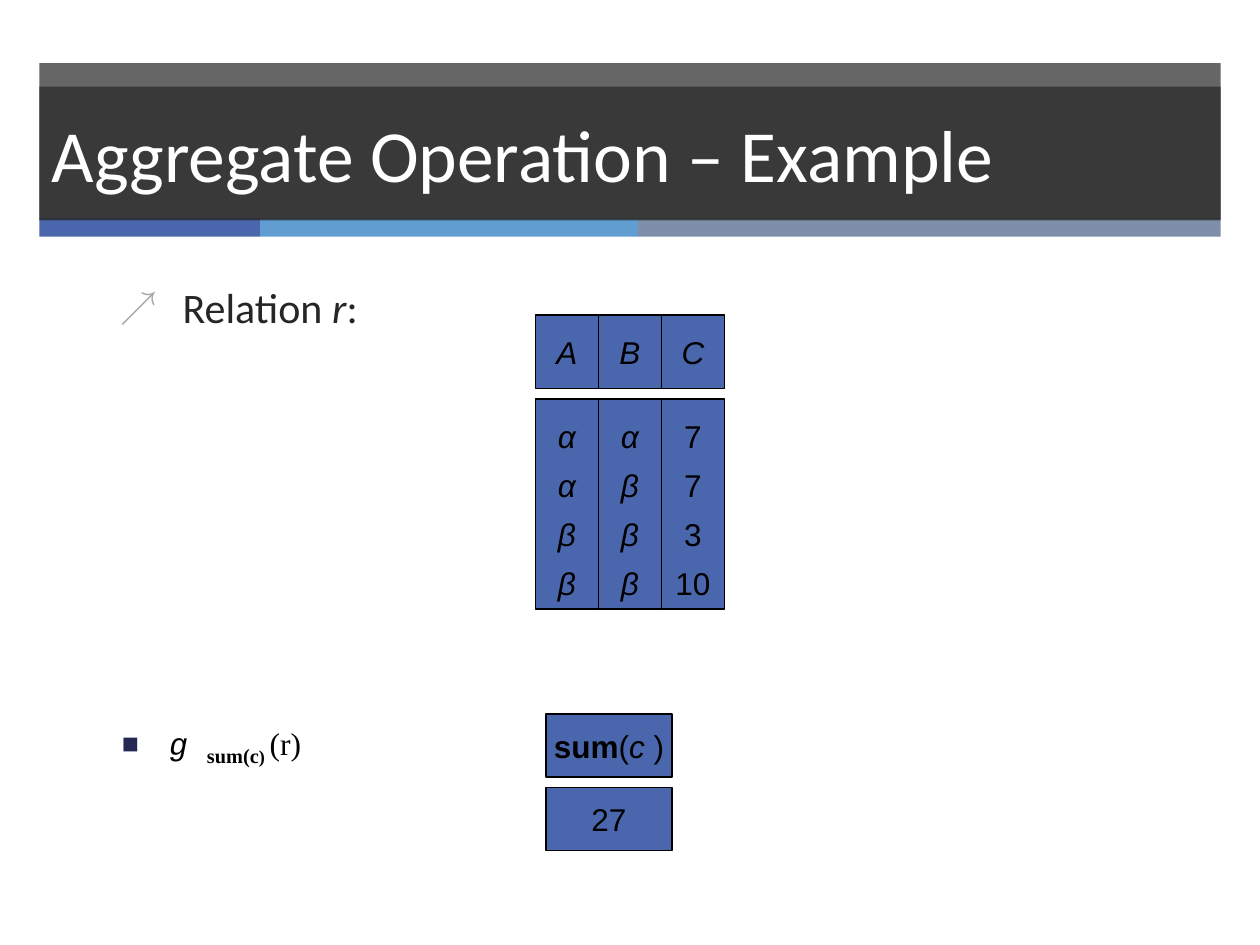
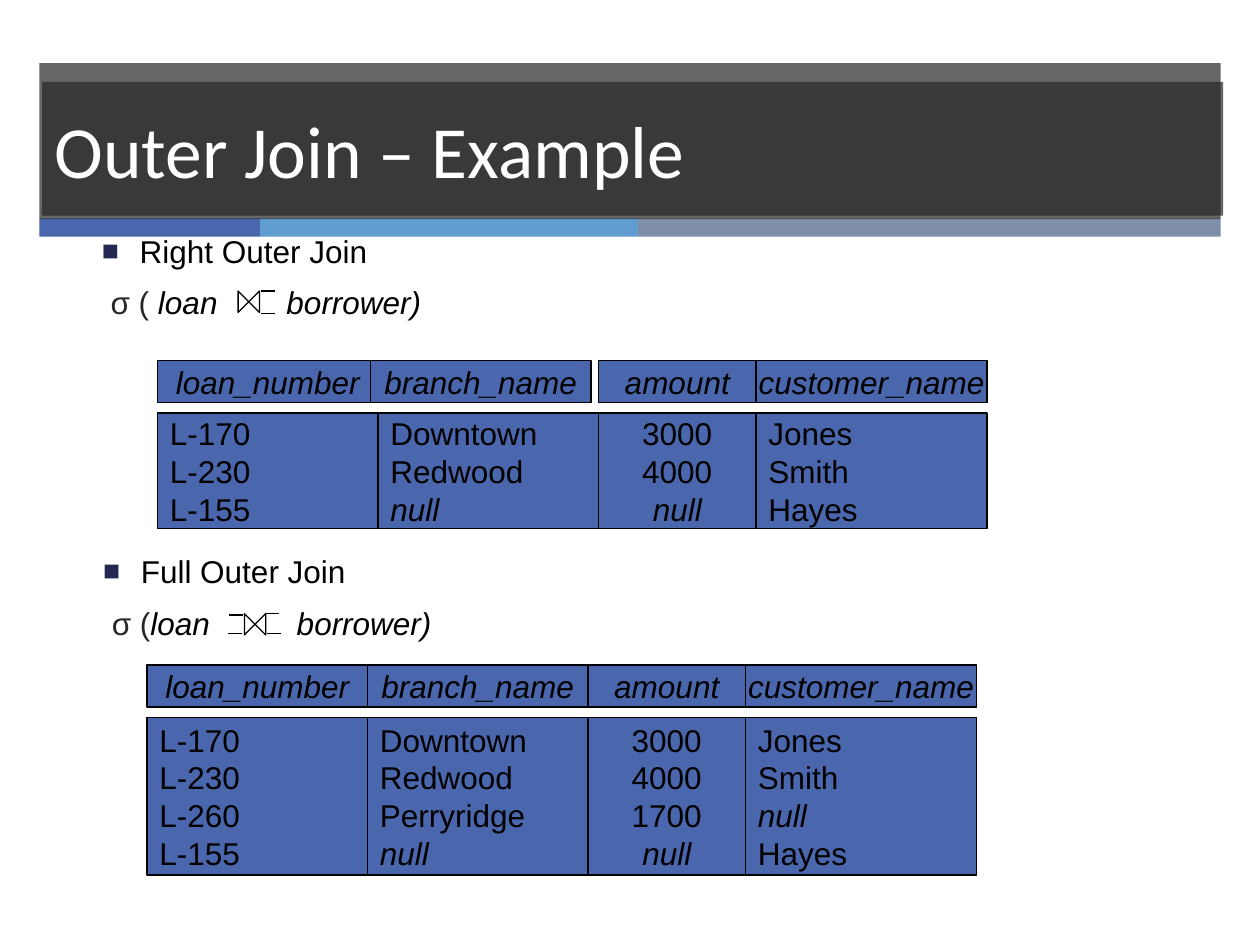
"""Build two slides on aggregate and outer join operations in relational algebra."""
from lxml.etree import SubElement
from pptx import Presentation
from pptx.dml.color import RGBColor
from pptx.enum.shapes import MSO_CONNECTOR, MSO_SHAPE
from pptx.enum.text import MSO_ANCHOR, MSO_AUTO_SIZE, PP_ALIGN
from pptx.oxml.ns import qn
from pptx.util import Pt

BLACK = RGBColor(0x00, 0x00, 0x00)
WHITE = RGBColor(0xFF, 0xFF, 0xFF)
DARK = RGBColor(0x26, 0x26, 0x26)
BLUE = RGBColor(0x4A, 0x66, 0xAC)
SKY = RGBColor(0x62, 0x9D, 0xD1)
SLATE = RGBColor(0x7F, 0x8F, 0xA9)
NAVY = RGBColor(0x24, 0x28, 0x52)
GRAY = RGBColor(0xA6, 0xA6, 0xA6)
LEFT, CENTER = PP_ALIGN.LEFT, PP_ALIGN.CENTER
ITALIC_WORDS = {"A", "B", "C", "c", "α", "β", "null", "loan_number",
                "branch_name", "amount", "customer_name"}


def write(paragraph, text, size=18, font="Arial", color=BLACK, bold=False, italic=False, baseline=0):
    run = paragraph.add_run()
    run.text = text
    run.font.size = Pt(size)
    run.font.name = font
    run.font.color.rgb = color
    run.font.bold = bold
    run.font.italic = italic
    if baseline:
        run._r.get_or_add_rPr().set("baseline", str(baseline * 1000))


def add_bullet(paragraph, character, color, indent, space_before):
    paragraph.space_before = Pt(space_before)
    properties = paragraph._p.get_or_add_pPr()
    properties.set("marL", str(Pt(indent)))
    properties.set("indent", str(-Pt(indent)))
    SubElement(SubElement(properties, qn("a:buClr")), qn("a:srgbClr"), val=str(color))
    SubElement(properties, qn("a:buSzPct"), val="90000")
    SubElement(properties, qn("a:buFont"), typeface="Arial")
    SubElement(properties, qn("a:buChar"), char=character)


presentation = Presentation()
presentation.slide_width, presentation.slide_height = Pt(720), Pt(540)
relation_slide = presentation.slides.add_slide(presentation.slide_layouts[1])
join_slide = presentation.slides.add_slide(presentation.slide_layouts[5])

translucent = []
master_tree = presentation.slide_master.shapes.element
for left, top, width, height, color in [
    (22.5, 36, 675, 89.25, DARK),
    (22.5, 124.8, 126, 10.5, BLUE),
    (148.5, 124.8, 216, 10.5, SKY),
    (364.5, 124.8, 333, 10.5, SLATE),
]:
    band = relation_slide.shapes.add_shape(
        MSO_SHAPE.RECTANGLE, Pt(left), Pt(top), Pt(width), Pt(height))
    band.shadow.inherit = False
    band.fill.solid()
    band.fill.fore_color.rgb = color
    band.line.fill.background()
    if color == DARK:
        translucent.append(band)
    master_tree.insert(2, band.element)

for slide, heading, left, top in [
    (relation_slide, "Aggregate Operation – Example", 22.5, 49.5),
    (join_slide, "Outer Join – Example", 24, 46.8),
]:
    title = slide.shapes.title
    title.left, title.top, title.width, title.height = Pt(left), Pt(top), Pt(675), Pt(76.5)
    title.fill.solid()
    title.fill.fore_color.rgb = DARK
    translucent.append(title)
    title.text_frame.auto_size = MSO_AUTO_SIZE.NONE
    title.text_frame.vertical_anchor = MSO_ANCHOR.MIDDLE
    paragraph = title.text_frame.paragraphs[0]
    paragraph.alignment = LEFT
    write(paragraph, heading, size=42, font="Calibri", color=WHITE)

for shape in translucent:
    fill_color = shape.element.spPr.find(qn("a:solidFill"))[0]
    SubElement(fill_color, qn("a:alpha"), val="70000")

body = relation_slide.placeholders[1]
body.left, body.top, body.width, body.height = Pt(61.2), Pt(157), Pt(208.8), Pt(44)
body.text_frame.auto_size = MSO_AUTO_SIZE.NONE
paragraph = body.text_frame.paragraphs[0]
add_bullet(paragraph, "↗", GRAY, indent=36, space_before=20)
for text in ("Relation ", "r", ":"):
    write(paragraph, text, size=24, font="Calibri", color=DARK, italic=text == "r")

expression = relation_slide.shapes.add_textbox(Pt(62.6), Pt(408), Pt(158.4), Pt(44))
expression.text_frame.word_wrap = True
paragraph = expression.text_frame.paragraphs[0]
add_bullet(paragraph, "■", NAVY, indent=27, space_before=7.9)
write(paragraph, "g ", font="Courier New", italic=True)
write(paragraph, "sum(c", size=20, font="Times New Roman", bold=True, baseline=-25)
write(paragraph, ") ", font="Times New Roman", bold=True, baseline=-25)
write(paragraph, "(r)", font="Times New Roman")

for left, top, name, opening, operand, tab_stop, bowtie, dashes in [
    (51.1, 128.9, "Right Outer Join", "σ (", " loan", 105.5, (136.1, 166.3),
     [(149, 166.3), (149, 179.3)]),
    (51.8, 311.8, "Full Outer Join", "σ (", "loan", 110.7, (139.7, 350.6),
     [(131, 351.4), (130.3, 362.2), (152.6, 362.2), (151.2, 350.6)]),
]:
    box = join_slide.shapes.add_textbox(Pt(left), Pt(top), Pt(320.4), Pt(58.3))
    box.text_frame.word_wrap = True
    paragraph = box.text_frame.paragraphs[0]
    add_bullet(paragraph, "■", NAVY, indent=21.6, space_before=7.9)
    write(paragraph, name)

    paragraph = box.text_frame.add_paragraph()
    paragraph.space_before = Pt(7.9)
    tabs = SubElement(paragraph._p.get_or_add_pPr(), qn("a:tabLst"))
    SubElement(tabs, qn("a:tab"), pos=str(Pt(tab_stop)), algn="l")
    write(paragraph, " " + opening, color=DARK)
    write(paragraph, operand + "\tborrower)", italic=True)

    symbol = join_slide.shapes.add_shape(
        MSO_SHAPE.FLOWCHART_COLLATE, Pt(bowtie[0]), Pt(bowtie[1]), Pt(12.2), Pt(12.2))
    symbol.rotation = 270
    symbol.shadow.inherit = False
    symbol.fill.background()
    symbol.line.color.rgb = BLACK
    symbol.line.width = Pt(0.75)
    for x, y in dashes:
        dash = join_slide.shapes.add_connector(
            MSO_CONNECTOR.STRAIGHT, Pt(x), Pt(y), Pt(x + 8), Pt(y))
        dash.line.color.rgb = BLACK
        dash.line.width = Pt(0.75)
        SubElement(dash.element.spPr, qn("a:effectLst"))

grids = [
    (relation_slide, 180, 42, 228, 120, 1.3, [
        (306, 306, 36, CENTER, "A", "α α β β"),
        (342, 342, 36, CENTER, "B", "α β β β"),
        (378, 378, 36, CENTER, "C", "7 7 3 10"),
    ]),
    (relation_slide, 408, 36, 450, 36, 1, [
        (312, 312, 72, CENTER, "sum|(|c |)", "27"),
    ]),
    (join_slide, 206, 24, 236, 66, 1, [
        (90, 90, 126, LEFT, "loan_number", "L-170 L-230 L-155"),
        (342, 342, 90, CENTER, "amount", "3000 4000 null"),
        (432, 432, 132, LEFT, "customer_name", "Jones Smith Hayes"),
        (211.7, 216, 126, LEFT, "branch_name", "Downtown Redwood null"),
    ]),
    (join_slide, 380, 24, 410, 90, 1, [
        (84, 84, 126, LEFT, "loan_number", "L-170 L-230 L-260 L-155"),
        (336, 336, 90, CENTER, "amount", "3000 4000 1700 null"),
        (426, 426, 132, LEFT, "customer_name", "Jones Smith null Hayes"),
        (210, 210, 126, LEFT, "branch_name", "Downtown Redwood Perryridge null"),
    ]),
]
for slide, head_top, head_height, rows_top, rows_height, spacing, columns in grids:
    for head_left, rows_left, width, alignment, heading, values in columns:
        for left, top, height, align, line_spacing, lines in [
            (head_left, head_top, head_height, CENTER, 1, [heading]),
            (rows_left, rows_top, rows_height, alignment, spacing, values.split()),
        ]:
            cell = slide.shapes.add_shape(
                MSO_SHAPE.RECTANGLE, Pt(left), Pt(top), Pt(width), Pt(height))
            cell.shadow.inherit = False
            cell.fill.solid()
            cell.fill.fore_color.rgb = BLUE
            cell.line.color.rgb = BLACK
            cell.line.width = Pt(0.75)
            frame = cell.text_frame
            frame.word_wrap = False
            frame.vertical_anchor = MSO_ANCHOR.MIDDLE
            for number, line in enumerate(lines):
                paragraph = frame.add_paragraph() if number else frame.paragraphs[0]
                paragraph.alignment = align
                paragraph.line_spacing = line_spacing
                for text in line.split("|"):
                    write(paragraph, text, bold=text == "sum",
                          italic=text.strip() in ITALIC_WORDS)

presentation.save("out.pptx")
